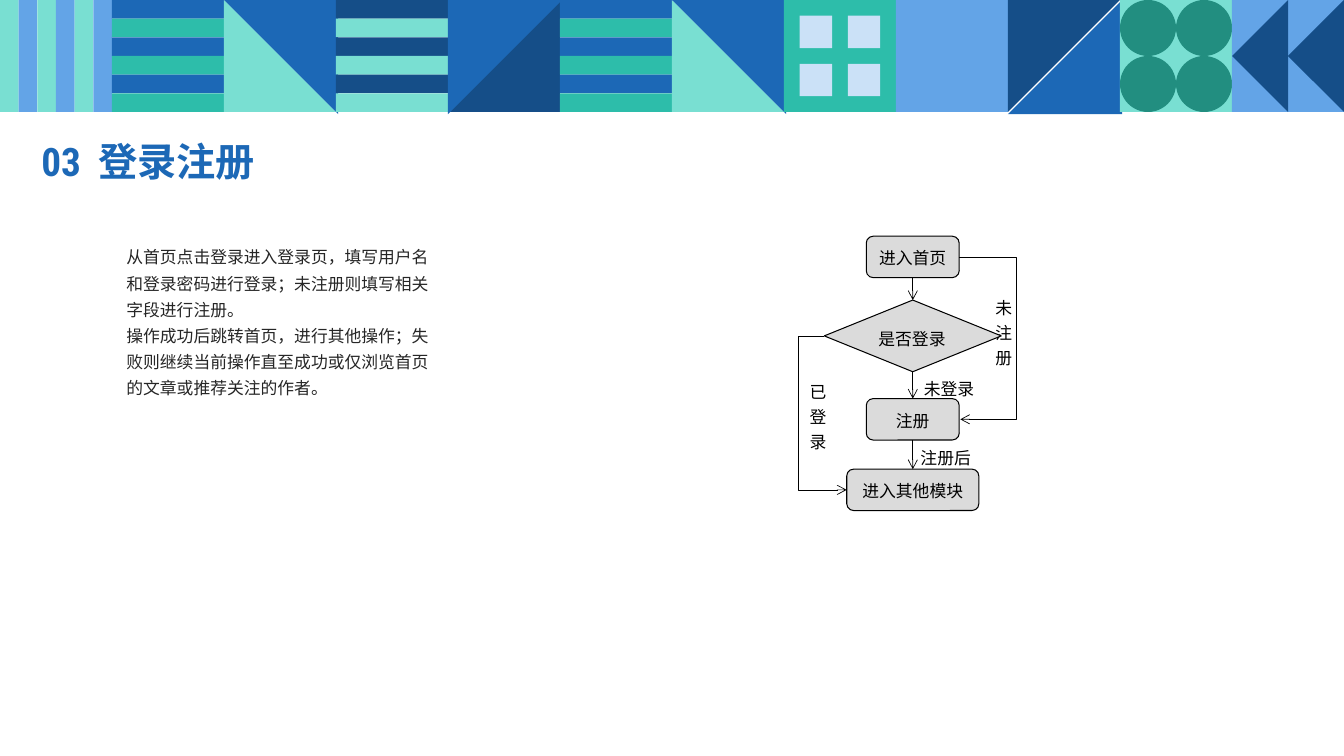
from itertools import product

from lxml.etree import SubElement
from pptx import Presentation
from pptx.dml.color import RGBColor
from pptx.enum.shapes import MSO_CONNECTOR as Connector, MSO_SHAPE as Shape
from pptx.enum.text import MSO_ANCHOR as Anchor, PP_ALIGN as Align
from pptx.oxml.ns import qn
from pptx.util import Emu, Inches, Pt

WIDTH, HEIGHT = Inches(13.33), Inches(7.5)
UNIT = WIDTH / 12  # the slide is a grid of 12 square columns
AXIS = 8.15  # centre of the flowchart, in columns

BLUE = RGBColor(0x1C, 0x68, 0xB6)
NAVY = RGBColor(0x15, 0x4E, 0x88)
SKY = RGBColor(0x63, 0xA4, 0xE7)
PALE = RGBColor(0xCB, 0xE1, 0xF7)
MINT = RGBColor(0x79, 0xDF, 0xD2)
TEAL = RGBColor(0x2D, 0xBD, 0xAA)
GREEN = RGBColor(0x22, 0x8E, 0x80)
GREY = RGBColor(0xDB, 0xDB, 0xDB)
INK = RGBColor(0x26, 0x26, 0x26)
BLACK = RGBColor(0, 0, 0)

TITLE_FONT, BODY_FONT, FLOW_FONT = "Roboto Condensed", "Noto Sans CJK SC", "Times New Roman"


def grid(*lengths):
    return [Emu(round(length * UNIT)) for length in lengths]


class SlideBuilder:
    def __init__(self, presentation):
        self.slide = presentation.slides.add_slide(presentation.slide_layouts[5])
        self.shapes = self.slide.shapes

    def styled_run(self, paragraph, text, font, color, size=12, bold=False):
        run = paragraph.add_run()
        run.text = text
        run.font.name, run.font.size, run.font.bold = font, Pt(size), bold
        run.font.color.rgb = color
        return run

    def block(self, kind, left, top, width, height, fill, rotation=0):
        shape = self.shapes.add_shape(kind, *grid(left, top, width, height))
        shape.shadow.inherit = False
        shape.fill.solid()
        shape.fill.fore_color.rgb = fill
        shape.line.fill.background()
        shape.rotation = rotation
        return shape

    def square(self, column, fill):
        self.block(Shape.RECTANGLE, column, 0, 1, 1, fill)

    def stripes(self, column, colors, vertical=False):
        """Fill a tile with six stripes in two alternating colours."""
        for index in range(6):
            offset = index / 6
            box = (column + offset, 0, 1 / 6, 1) if vertical else (column, offset, 1, 1 / 6)
            self.block(Shape.RECTANGLE, *box, colors[index % 2])

    def diagonal(self, column, first, second, rotation):
        """Fill a tile with two triangles, the second facing the first."""
        self.block(Shape.RIGHT_TRIANGLE, column, 0, 1, 1, first, rotation)
        self.block(Shape.RIGHT_TRIANGLE, column, 0, 1.02, 1.02, second, (rotation + 180) % 360)

    def windows(self, column):
        self.square(column, TEAL)
        for x, y in product((0.14, 0.57), repeat=2):
            self.block(Shape.RECTANGLE, column + x, y, 0.29, 0.29, PALE)

    def circles(self, column):
        self.square(column, MINT)
        for x, y in product((0, 0.5), repeat=2):
            self.block(Shape.OVAL, column + x, y, 0.5, 0.5, GREEN)

    def arrowheads(self, column):
        self.square(column, SKY)
        for x in (0, 0.5):
            self.block(Shape.ISOSCELES_TRIANGLE, column + x - 0.25, 0.25, 1, 0.5, NAVY, 270)

    def title(self, number, text):
        title = self.shapes.title
        title.left, title.top, title.width, title.height = grid(0.28, 1.18, 3.46, 0.57)
        title.text_frame.vertical_anchor = Anchor.MIDDLE
        paragraph = title.text_frame.paragraphs[0]
        paragraph.alignment, paragraph.line_spacing = Align.LEFT, 0.9
        for part in (number, " ", text):
            run = self.styled_run(paragraph, part, TITLE_FONT, BLUE, 28, True)
            if part == " ":
                run.font._element.set("spc", "600")

    def text(self, left, top, width, height, paragraphs, font, color, spacing, align):
        frame = self.shapes.add_textbox(*grid(left, top, width, height)).text_frame
        frame.word_wrap = True
        for index, content in enumerate(paragraphs):
            paragraph = frame.add_paragraph() if index else frame.paragraphs[0]
            paragraph.line_spacing, paragraph.alignment = spacing, align
            self.styled_run(paragraph, content, font, color)

    def label(self, left, top, width, height, text):
        self.text(left, top, width, height, [text], FLOW_FONT, BLACK, 1.25, Align.JUSTIFY)

    def node(self, text, top, width, height=0.37, kind=Shape.ROUNDED_RECTANGLE):
        """Add a flowchart box centred on the axis."""
        shape = self.block(kind, AXIS - width / 2, top, width, height, GREY)
        shape.line.color.rgb, shape.line.width = BLACK, Pt(0.75)
        is_decision = kind == Shape.FLOWCHART_DECISION
        shape.text_frame.vertical_anchor = Anchor.MIDDLE if is_decision else Anchor.TOP
        paragraph = shape.text_frame.paragraphs[0]
        paragraph.line_spacing = 1.25
        paragraph.alignment = Align.JUSTIFY if is_decision else Align.CENTER
        self.styled_run(paragraph, text, FLOW_FONT, BLACK)
        return shape

    def arrow(self, kind, *ends):
        connector = self.shapes.add_connector(kind, *ends)
        connector.line.color.rgb, connector.line.width = BLACK, Pt(0.5)
        SubElement(connector.line._get_or_add_ln(), qn("a:tailEnd"), type="arrow")
        SubElement(connector._element.spPr, qn("a:effectLst"))
        return connector

    def arrow_down(self, upper, lower):
        center = upper.left + upper.width // 2
        self.arrow(Connector.STRAIGHT, center, upper.top + upper.height, center, lower.top)

    def arrow_around(self, upper, lower, lane, right=False):
        """Link the same side of two boxes through a vertical lane beside them."""
        start, end = (box.left + box.width * right for box in (upper, lower))
        if start == end:
            end += Inches(0.01)  # the bend is a share of the width, which must not be zero
        tops = [box.top + box.height // 2 for box in (upper, lower)]
        connector = self.arrow(Connector.ELBOW, start, tops[0], end, tops[1])
        bend = round((grid(lane)[0] - start) / (end - start) * 100000)
        geometry = connector._element.spPr.find(qn("a:prstGeom"))
        adjustments = geometry.find(qn("a:avLst"))
        if adjustments is None:
            adjustments = SubElement(geometry, qn("a:avLst"))
        SubElement(adjustments, qn("a:gd"), name="adj1", fmla=f"val {bend}")


def add_banner(builder):
    builder.stripes(0, (MINT, SKY), vertical=True)
    builder.stripes(1, (BLUE, TEAL))
    builder.diagonal(2, MINT, BLUE, 0)
    builder.stripes(3, (NAVY, MINT))
    builder.diagonal(4, NAVY, BLUE, 270)
    builder.stripes(5, (BLUE, TEAL))
    builder.diagonal(6, MINT, BLUE, 0)
    builder.windows(7)
    builder.square(8, SKY)
    builder.diagonal(9, NAVY, BLUE, 90)
    builder.circles(10)
    builder.arrowheads(11)


def add_flowchart(builder):
    home = builder.node("进入首页", 2.11, 0.83)
    modules = builder.node("进入其他模块", 4.19, 1.18)
    register = builder.node("注册", 3.56, 0.83)
    builder.label(7.14, 3.32, 0.23, 0.98, "已登录")
    builder.label(8.16, 3.29, 0.66, 0.31, "未登录")
    builder.label(8.13, 3.91, 0.98, 0.35, "注册后")
    builder.label(8.8, 2.57, 0.28, 0.81, "未注册")
    decision = builder.node("是否登录", 2.68, 1.58, 0.64, Shape.FLOWCHART_DECISION)
    builder.arrow_around(home, register, 9.08, right=True)
    builder.arrow_around(decision, modules, 7.13)
    for upper, lower in ((home, decision), (decision, register), (register, modules)):
        builder.arrow_down(upper, lower)


def main():
    presentation = Presentation()
    presentation.slide_width, presentation.slide_height = WIDTH, HEIGHT
    builder = SlideBuilder(presentation)
    add_banner(builder)
    builder.title("03", "登录注册")
    description = (
        "从首页点击登录进入登录页，填写用户名和登录密码进行登录；未注册则填写相关字段进行注册。",
        "操作成功后跳转首页，进行其他操作；失败则继续当前操作直至成功或仅浏览首页的文章或推荐关注的作者。",
    )
    builder.text(1.04, 2.11, 2.95, 1.5, description, BODY_FONT, INK, 1.3, Align.LEFT)
    add_flowchart(builder)
    presentation.save("out.pptx")


if __name__ == "__main__":
    main()
